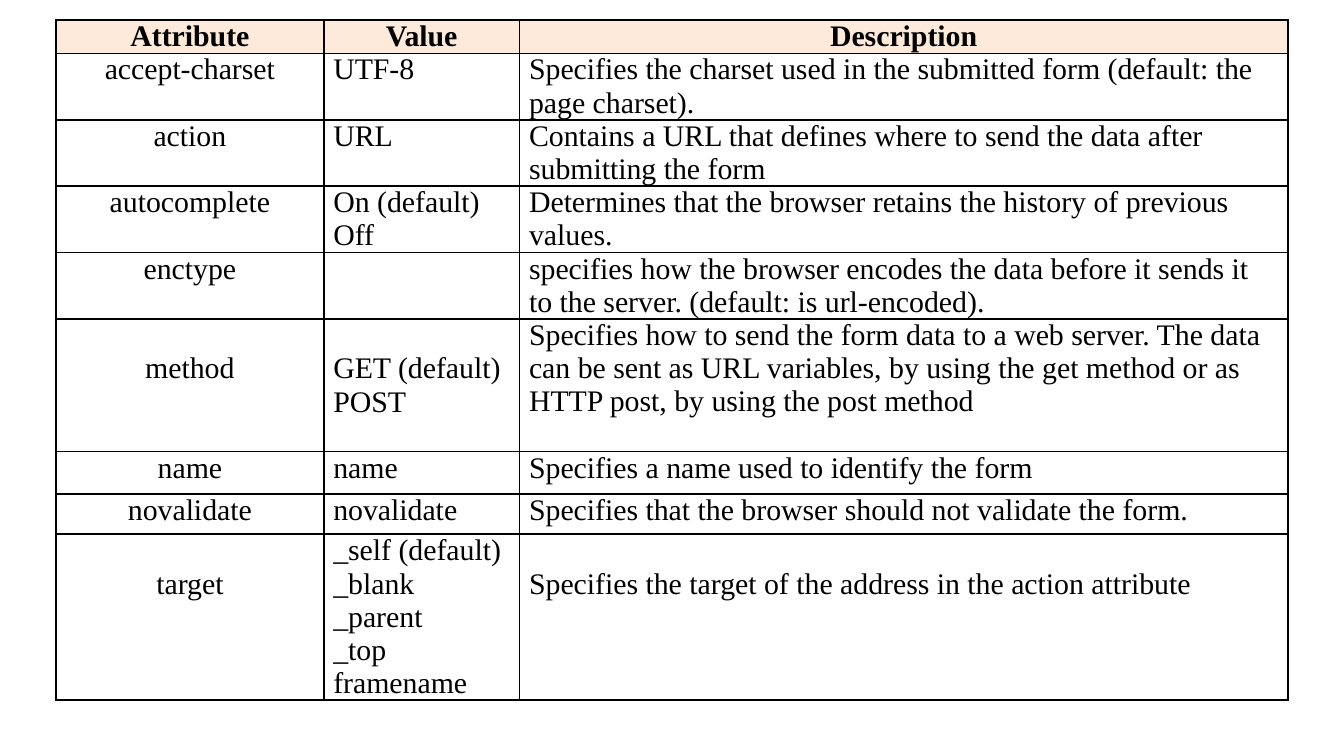
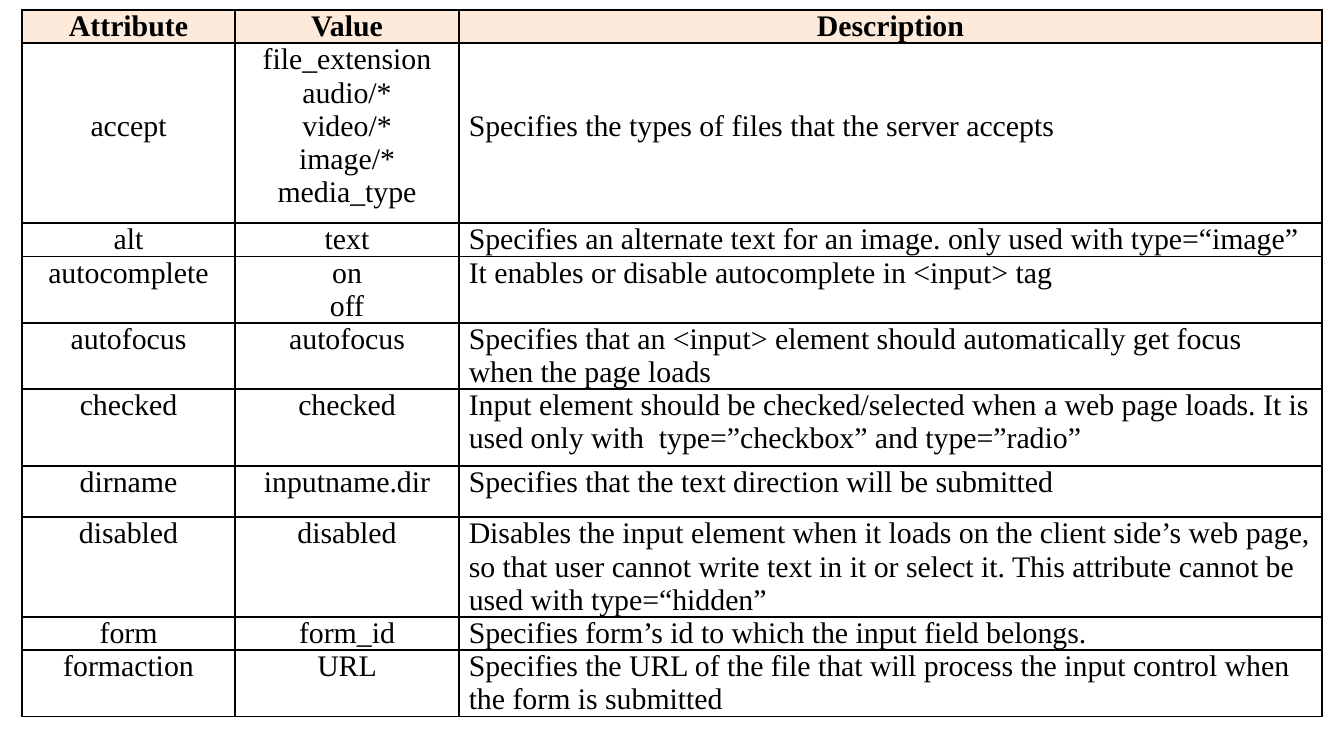
from copy import deepcopy
from dataclasses import dataclass

from lxml import etree
from pptx import Presentation
from pptx import util as u
from pptx.dml.color import RGBColor
from pptx.enum import text
from pptx.oxml import ns

CENTER, LEFT = text.PP_ALIGN.CENTER, text.PP_ALIGN.LEFT


@dataclass(frozen=True)
class Theme:
    font: str = "Times New Roman"
    size: float = 16
    line_height: float = 0.63  # cm, one line of body text
    ink: str = "000000"
    header_fill: str = "FDEADA"
    border_width: float = 1
    side_margin: float = 0.18  # cm


@dataclass(frozen=True)
class Entry:
    """One attribute; "\\n" starts a paragraph and "\\v" breaks a line.

    lowered gives, for each column, the lines by which its text starts lower.
    """
    attribute: str
    value: str
    description: str
    height: float
    lowered: tuple[int, int, int] = (0, 0, 0)


@dataclass(frozen=True)
class AttributeTable:
    left: float
    top: float
    widths: tuple[float, float, float]
    header_height: float
    value_align: text.PP_ALIGN
    entries: tuple[Entry, ...]


THEME = Theme()

FORM_ATTRIBUTES = AttributeTable(
    left=1.06, top=0.38, widths=(5.06, 3.7, 14.52), header_height=0.62, value_align=LEFT,
    entries=(
        Entry("accept-charset", "UTF-8",
              "Specifies the charset used in the submitted form (default: the page charset).", 1.25),
        Entry("action", "URL",
              "Contains a URL that defines where to send the data after submitting the form", 1.25),
        Entry("autocomplete", "On (default)\nOff",
              "Determines that the browser retains the history of previous values.", 1.25),
        Entry("enctype", "",
              "specifies how the browser encodes the data before it sends it to the server. "
              "(default: is url-encoded).", 1.25),
        Entry("method", "GET (default)\nPOST",
              "Specifies how to send the form data to a web server. The data can be sent as URL "
              "variables, by using the get method or as HTTP post, by using the post method",
              2.51, lowered=(1, 1, 0)),
        Entry("name", "name", "Specifies a name used to identify the form", 0.8),
        Entry("novalidate", "novalidate",
              "Specifies that the browser should not validate the form.", 0.76),
        Entry("target", "_self (default)\n_blank\n_parent\n_top\nframename",
              "Specifies the target of the address in the action attribute",
              2.51, lowered=(1, 0, 1)),
    ))

INPUT_ATTRIBUTES = AttributeTable(
    left=0.42, top=0.19, widths=(4.02, 4.24, 16.3), header_height=0.56, value_align=CENTER,
    entries=(
        Entry("accept", "file_extension\vaudio/*\vvideo/*\vimage/*\vmedia_type",
              "Specifies the types of files that the server accepts", 3.4, lowered=(2, 0, 2)),
        Entry("alt", "text",
              "Specifies an alternate text for an image. only used with type=“image”", 0.56),
        Entry("autocomplete", "on\voff",
              "It enables or disable autocomplete in <input> tag", 1.1),
        Entry("autofocus", "autofocus",
              "Specifies that an <input> element should automatically get focus when the page loads",
              1.1),
        Entry("checked", "checked",
              "Input element should be checked/selected when a web page loads. It is used only "
              "with  type=”checkbox” and type=”radio”", 1.45),
        Entry("dirname", "inputname.dir",
              "Specifies that the text direction will be submitted", 0.97),
        Entry("disabled", "disabled",
              "Disables the input element when it loads on the client side’s web page, so that user "
              "cannot write text in it or select it. This attribute cannot be used with "
              "type=“hidden”", 1.1),
        Entry("form", "form_id", "Specifies form’s id to which the input field belongs.", 0.56),
        Entry("formaction", "URL",
              "Specifies the URL of the file that will process the input control when the form "
              "is submitted", 1.1),
    ))


def write_text(frame, words: str, *, align: text.PP_ALIGN = LEFT, bold: bool = False) -> None:
    frame.text = words
    for para in frame.paragraphs:
        para.alignment = align
        for span in para.runs:
            span.font.name = THEME.font
            span.font.size = u.Pt(THEME.size)
            span.font.bold = bold
            span.font.color.rgb = RGBColor.from_string(THEME.ink)
        for line_break in para._p.findall(ns.qn("a:br")):
            line_break.append(deepcopy(para.runs[0]._r.rPr))


def draw_borders(cell) -> None:
    properties = cell._tc.get_or_add_tcPr()
    for side in ("lnL", "lnR", "lnT", "lnB"):
        line = etree.SubElement(properties, ns.qn(f"a:{side}"), w=str(u.Pt(THEME.border_width)))
        fill = etree.SubElement(line, ns.qn("a:solidFill"))
        etree.SubElement(fill, ns.qn("a:srgbClr"), val=THEME.ink)


def fill_cell(cell, words: str, *, align: text.PP_ALIGN, header: bool = False,
              lowered: int = 0) -> None:
    cell.margin_left = cell.margin_right = u.Cm(THEME.side_margin)
    cell.margin_top = u.Cm(lowered * THEME.line_height)
    cell.margin_bottom = 0
    draw_borders(cell)
    if header:
        cell.fill.solid()
        cell.fill.fore_color.rgb = RGBColor.from_string(THEME.header_fill)
    else:
        cell.fill.background()
    write_text(cell.text_frame, words, align=align, bold=header)


def add_attribute_slide(deck, content: AttributeTable) -> None:
    page = deck.slides.add_slide(deck.slide_layouts[6])
    heights = (content.header_height, *(entry.height for entry in content.entries))
    table = page.shapes.add_table(
        len(heights), len(content.widths), u.Cm(content.left), u.Cm(content.top),
        u.Cm(sum(content.widths)), u.Cm(sum(heights))).table
    table.first_row = table.horz_banding = False
    for column, width in zip(table.columns, content.widths):
        column.width = u.Cm(width)
    for row, height in zip(table.rows, heights):
        row.height = u.Cm(height)

    for cell, heading in zip(table.rows[0].cells, ("Attribute", "Value", "Description")):
        fill_cell(cell, heading, align=CENTER, header=True)
    aligns = (CENTER, content.value_align, LEFT)
    for number, entry in enumerate(content.entries, start=1):
        words = (entry.attribute, entry.value, entry.description)
        for cell, part, align, lowered in zip(table.rows[number].cells, words, aligns,
                                              entry.lowered):
            fill_cell(cell, part, align=align, lowered=lowered)


def main() -> None:
    deck = Presentation()
    deck.slide_width, deck.slide_height = u.Cm(25.4), u.Cm(14.29)
    for content in (FORM_ATTRIBUTES, INPUT_ATTRIBUTES):
        add_attribute_slide(deck, content)
    deck.save("out.pptx")


if __name__ == "__main__":
    main()
